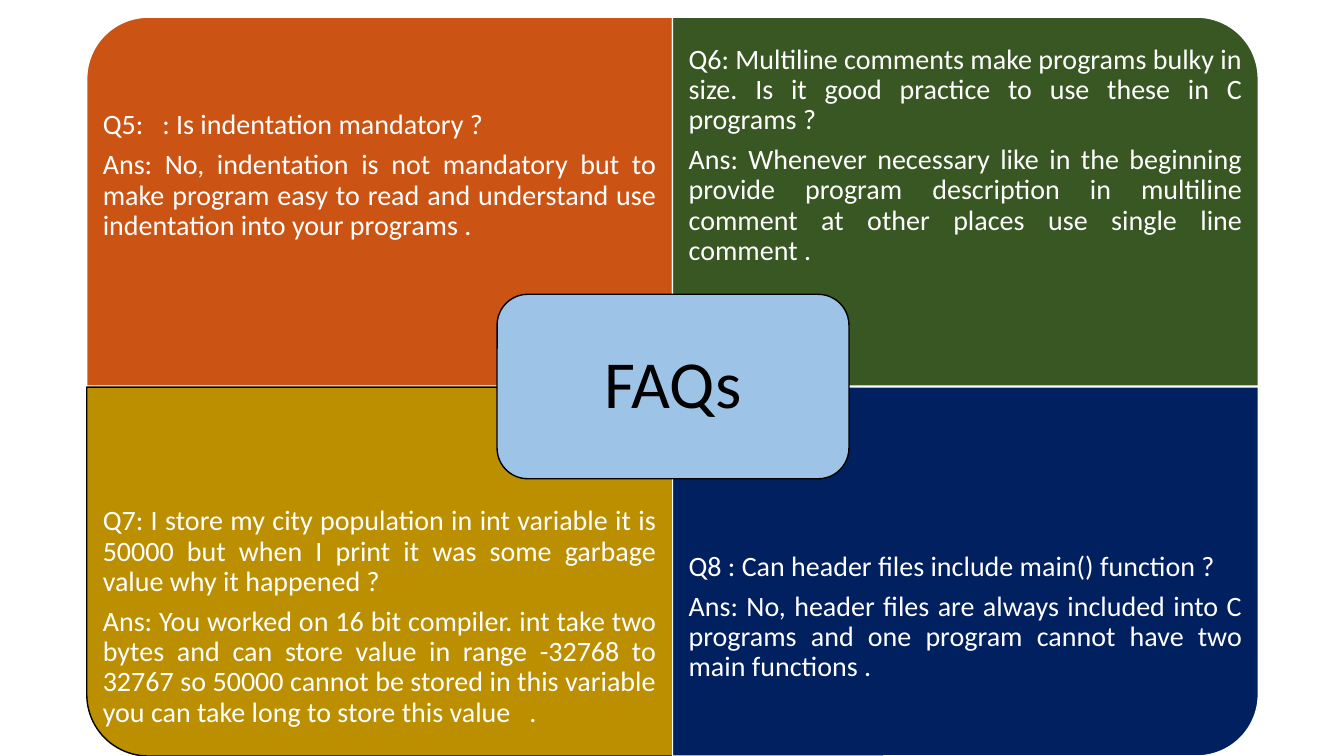
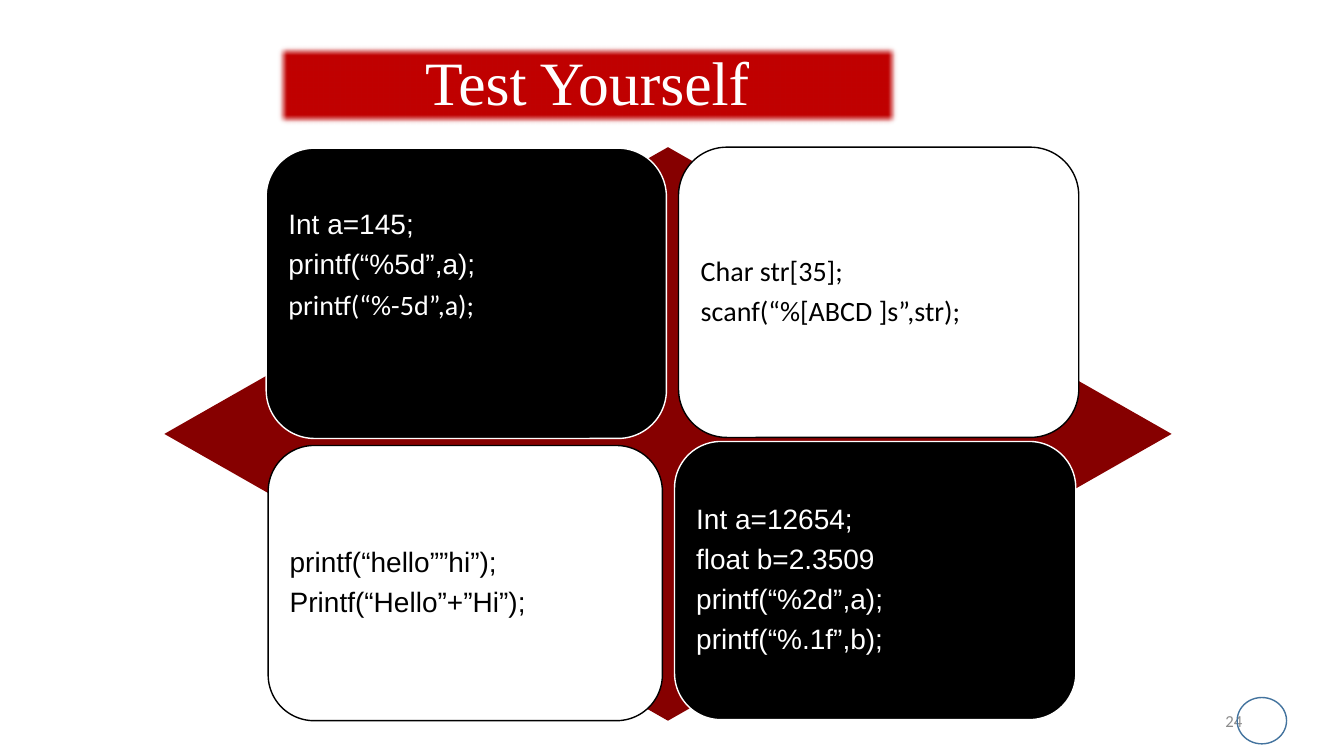
from lxml import etree
from pptx import Presentation
from pptx.dml.color import RGBColor
from pptx.enum.shapes import MSO_SHAPE
from pptx.enum.text import MSO_ANCHOR, PP_ALIGN
from pptx.oxml.ns import qn
from pptx.util import Inches, Pt

ROUND_CORNER = MSO_SHAPE.ROUND_1_RECTANGLE
ROUNDED = MSO_SHAPE.ROUNDED_RECTANGLE
DIAMOND = MSO_SHAPE.DIAMOND
ELLIPSE = MSO_SHAPE.OVAL
RECTANGLE = MSO_SHAPE.RECTANGLE
LEFT, CENTER, RIGHT, JUSTIFY = PP_ALIGN.LEFT, PP_ALIGN.CENTER, PP_ALIGN.RIGHT, PP_ALIGN.JUSTIFY
TOP, MIDDLE = MSO_ANCHOR.TOP, MSO_ANCHOR.MIDDLE

WHITE, BLACK = "FFFFFF", "000000"
ORANGE, GREEN, GOLD, NAVY = "CB5414", "385723", "BC8F00", "002060"
SKY, MAROON, RED = "9DC3E6", "860000", "C00000"
GREY, RING_BLUE = "8C8C8C", "43739E"

PANEL_LEFT, PANEL_TOP = 0.86, 0.17
PANEL_WIDTH, PANEL_HEIGHT, ANSWER_HEIGHT = 5.81, 3.66, 2.75
LINE_DROP = 0.4

QUESTIONS = [
    (ORANGE, WHITE, 270, LINE_DROP, [
        "Q5:   : Is indentation mandatory ?",
        "Ans: No, indentation is not mandatory but to make program easy to read "
        "and understand use indentation into your programs ."]),
    (GREEN, WHITE, 0, 0, [
        "Q6: Multiline comments make programs bulky in size. Is it good practice "
        "to use these in C programs ?",
        "Ans: Whenever necessary like in the beginning provide program description "
        "in multiline comment at other places use single line comment ."]),
    (GOLD, BLACK, 180, 0, [
        "Q7: I store my city population in int variable it is 50000 but when I "
        "print it was some garbage value why it happened ?",
        "Ans: You worked on 16 bit compiler. int take two bytes and can store value "
        "in range -32768 to 32767 so 50000 cannot be stored in this variable you "
        "can take long to store this value   ."]),
    (NAVY, WHITE, 90, 0, [
        "Q8 : Can header files include main() function ?",
        "Ans: No, header files are always included into C programs and one program "
        "cannot have two main functions ."]),
]


def color(value):
    return RGBColor.from_string(value)


def add_figure(page, kind, left, top, width, height, fill=None, line=None, rotation=0):
    if rotation % 180:
        shift = (width - height) / 2
        left, top, width, height = left + shift, top - shift, height, width
    shape = page.shapes.add_shape(kind, Inches(left), Inches(top), Inches(width), Inches(height))
    shape.shadow.inherit = False
    shape.rotation = rotation
    if fill:
        shape.fill.solid()
        shape.fill.fore_color.rgb = color(fill)
    else:
        shape.fill.background()
    if line:
        shape.line.color.rgb = color(line)
        shape.line.width = Pt(1)
    else:
        shape.line.fill.background()
    return shape


def add_box(page, left, top, width, height):
    return page.shapes.add_textbox(Inches(left), Inches(top), Inches(width), Inches(height))


def write_text(box, lines, size=20, font="Calibri", ink=WHITE, align=LEFT, anchor=MIDDLE,
               inset=0.08, drop=0.0, spacing=0.9, after=0):
    frame = box.text_frame
    frame.word_wrap = True
    frame.vertical_anchor = anchor
    frame.margin_left = frame.margin_right = frame.margin_bottom = Inches(inset)
    frame.margin_top = Inches(inset + drop)
    for index, text in enumerate(lines):
        para = frame.add_paragraph() if index else frame.paragraphs[0]
        para.alignment = align
        para.line_spacing = spacing
        para.space_after = Pt(after)
        span = para.add_run()
        span.text = text
        span.font.size = Pt(size)
        span.font.name = font
        span.font.color.rgb = color(ink)


def soften_edges(shape, radius):
    effects = shape._element.spPr.find(qn("a:effectLst"))
    etree.SubElement(effects, qn("a:softEdge"), rad=str(Inches(radius)))


def add_card(page, left, top, width, height, dark, lines, **text_format):
    fill, ink = (BLACK, WHITE) if dark else (WHITE, BLACK)
    card = add_figure(page, ROUNDED, left, top, width, height, fill, ink)
    write_text(card, lines, ink=ink, after=7, **text_format)
    return card


def build_faqs(page):
    for index, (fill, line, rotation, drop, lines) in enumerate(QUESTIONS):
        row, column = divmod(index, 2)
        left = PANEL_LEFT + column * PANEL_WIDTH
        top = PANEL_TOP + row * (PANEL_HEIGHT + 0.01)
        add_figure(page, ROUND_CORNER, left, top, PANEL_WIDTH, PANEL_HEIGHT, fill, line, rotation)
        answer_top = top + row * (PANEL_HEIGHT - ANSWER_HEIGHT)
        box = add_box(page, left, answer_top, PANEL_WIDTH, ANSWER_HEIGHT)
        write_text(box, lines, align=JUSTIFY, inset=0.16, drop=drop, after=7)
    hub = add_figure(page, ROUNDED, 4.93, 2.92, 3.49, 1.83, SKY, BLACK)
    write_text(hub, ["FAQs"], size=48, ink=BLACK, align=CENTER, inset=0.2)


def build_test(page):
    number = add_box(page, 9.42, 6.95, 3, 0.4)
    write_text(number, ["24"], size=12, ink=GREY, align=RIGHT, inset=0.1, spacing=1.0)
    add_figure(page, ELLIPSE, 12.27, 6.92, 0.49, 0.46, line=RING_BLUE)
    add_figure(page, DIAMOND, 1.63, 1.46, 9.99, 5.69, MAROON)
    first = add_card(page, 2.64, 1.47, 3.97, 2.88, True,
                     ["Int a=145;", "printf(“%5d”,a);", "printf(“%-5d”,a);"],
                     font="Arial", anchor=TOP, drop=LINE_DROP)
    first.text_frame.paragraphs[-1].runs[0].font.name = "Calibri"
    add_card(page, 6.73, 1.46, 3.97, 2.88, False,
             ["Char str[35];", "scanf(“%[ABCD ]s”,str);"])
    add_card(page, 2.66, 4.42, 3.91, 2.73, False,
             ["printf(“hello””hi”);", "Printf(“Hello”+”Hi”);"], font="Arial")
    add_card(page, 6.69, 4.38, 3.98, 2.76, True,
             ["Int a=12654;", "float b=2.3509", "printf(“%2d”,a);", "printf(“%.1f”,b);"],
             font="Arial")
    title = add_figure(page, RECTANGLE, 2.73, 0.43, 6.19, 0.83, RED)
    soften_edges(title, 0.07)
    write_text(title, ["Test Yourself"], size=44, font="Times New Roman", align=CENTER, inset=0.05)


def main():
    deck = Presentation()
    deck.slide_width, deck.slide_height = Inches(13.33), Inches(7.5)
    for build in (build_faqs, build_test):
        build(deck.slides.add_slide(deck.slide_layouts[6]))
    deck.save("out.pptx")


if __name__ == "__main__":
    main()
